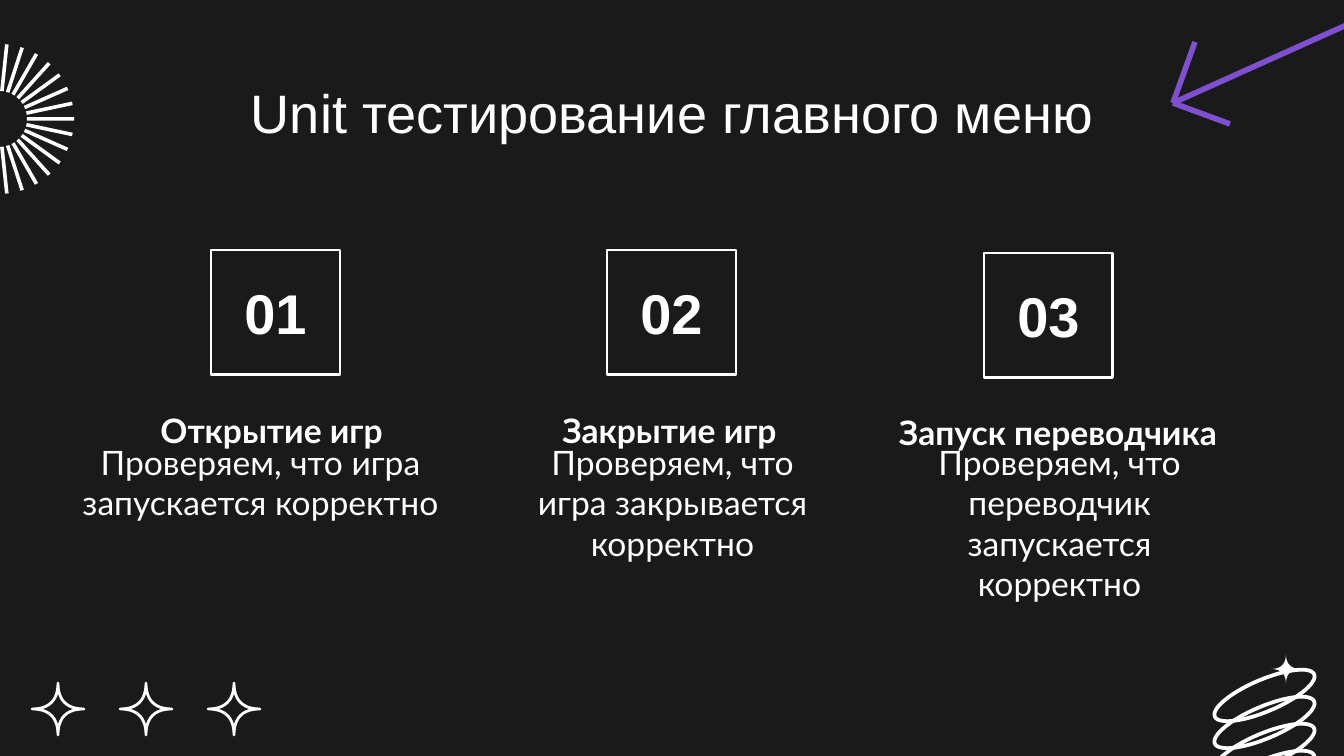
from math import cos, pi, radians, sin

from lxml import etree
from pptx import Presentation
from pptx import util as u
from pptx.dml.color import RGBColor
from pptx.enum import shapes, text
from pptx.oxml.ns import qn

THEME = {
    "ground": "1A1A1A", "ink": "FFFFFF", "accent": "7E4FCF",
    "display": "Arial", "copy": "Lato",
    "title": 29, "number": 30, "body": 18,
    "outline": 1.5, "coil": 2, "arrow": 3,
}
PX = 914400 / 134.4
INSET = 13

TITLE = ("Unit тестирование главного меню", (106, 66, 1133, 85))
CHECKS = [
    {"number": ("01", (211, 250, 129, 125)),
     "heading": ("Открытие игр", (43, 353, 437, 110)),
     "body": ("Проверяем, что игра запускается корректно", (54, 429, 413, 69))},
    {"number": ("02", (607, 250, 129, 125)),
     "heading": ("Закрытие игр", (453, 353, 413, 110)),
     "body": ("Проверяем, что игра закрывается корректно", (503, 429, 339, 146))},
    {"number": ("03", (984, 253, 129, 125)),
     "heading": ("Запуск переводчика", (821, 355, 454, 110)),
     "body": ("Проверяем, что переводчик запускается корректно", (890, 429, 339, 91))},
]
ARROW_TIP = (1173, 103)
ARROW_ENDS = [(1351, 23), (1230, 124), (1195, 42)]
STARS = {"first": (58, 709), "gap": 88, "count": 3, "radius": 26}
SUNBURST = {"center": (-1, 119), "inner": 28, "outer": 75, "half": 1.8, "rays": 30}
COIL = {"center": (1264.5, 695.5), "a": 54, "b": 16, "tilt": -23, "gap": 27, "rings": 4}
SPARKLE = {"center": (1286, 669), "radius": 15}


def emu(px):
    return u.Emu(round(px * PX))


def color(name):
    return RGBColor.from_string(THEME[name])


def star(cx, cy, radius, steps=64):
    angles = [2 * pi * i / steps for i in range(steps)]
    return [(cx + radius * cos(t) * abs(cos(t)) ** 3,
             cy + radius * sin(t) * abs(sin(t)) ** 3) for t in angles]


def ray(angle):
    cx, cy = SUNBURST["center"]
    near, far, half = SUNBURST["inner"], SUNBURST["outer"], SUNBURST["half"]
    corners = [(near, -half), (far, -half), (far, half), (near, half)]
    return [(cx + r * cos(angle) - w * sin(angle),
             cy + r * sin(angle) + w * cos(angle)) for r, w in corners]


def ring(index, steps=60):
    cx, cy = COIL["center"]
    cy += index * COIL["gap"]
    tilt = radians(COIL["tilt"])
    points = []
    for i in range(steps):
        x, y = COIL["a"] * cos(2 * pi * i / steps), COIL["b"] * sin(2 * pi * i / steps)
        points.append((cx + x * cos(tilt) - y * sin(tilt),
                       cy + x * sin(tilt) + y * cos(tilt)))
    return points


def paint(shape, fill=None, line=None, width=None):
    shape.shadow.inherit = False
    if fill:
        shape.fill.solid()
        shape.fill.fore_color.rgb = color(fill)
    else:
        shape.fill.background()
    if line:
        shape.line.color.rgb = color(line)
        shape.line.width = u.Pt(THEME[width])
    else:
        shape.line.fill.background()


def add_outline(slide, contours, **style):
    contours = [[(emu(x), emu(y)) for x, y in contour] for contour in contours]
    builder = slide.shapes.build_freeform(*contours[0][0], scale=1.0)
    for index, contour in enumerate(contours):
        if index:
            builder.move_to(*contour[0])
        builder.add_line_segments(contour[1:], close=True)
    paint(builder.convert_to_shape(), **style)


def write(shape, words, size, face, bold=False, anchor="TOP", after=0, indent=None):
    frame = shape.text_frame
    settings = {"word_wrap": True, "vertical_anchor": getattr(text.MSO_ANCHOR, anchor)}
    settings.update({f"margin_{side}": emu(INSET)
                     for side in ("left", "top", "right", "bottom")})
    for key, value in settings.items():
        setattr(frame, key, value)
    line = frame.paragraphs[0]
    line.alignment = text.PP_ALIGN.CENTER
    line.space_after = u.Pt(after)
    if indent:
        for key, value in zip(("marL", "indent"), indent):
            line._p.get_or_add_pPr().set(key, str(emu(value)))
    run = line.add_run()
    run.text = words
    for key, value in {"size": u.Pt(THEME[size]), "name": THEME[face], "bold": bold}.items():
        setattr(run.font, key, value)
    run.font.color.rgb = color("ink")


def add_text(slide, part, **style):
    words, box = part
    write(slide.shapes.add_textbox(*map(emu, box)), words, **style)


def add_number(slide, part):
    words, box = part
    square = slide.shapes.add_shape(shapes.MSO_SHAPE.RECTANGLE, *map(emu, box))
    paint(square, line="ink", width="outline")
    write(square, words, "number", "display", bold=True, anchor="MIDDLE")


def add_stroke(slide, start, end):
    stroke = slide.shapes.add_connector(
        shapes.MSO_CONNECTOR.STRAIGHT, *map(emu, start + end))
    stroke.line.color.rgb = color("accent")
    stroke.line.width = u.Pt(THEME["arrow"])
    etree.SubElement(stroke._element.spPr, qn("a:effectLst"))


def main():
    deck = Presentation()
    deck.slide_width, deck.slide_height = emu(1344), emu(756)
    slide = deck.slides.add_slide(deck.slide_layouts[6])
    slide.background.fill.solid()
    slide.background.fill.fore_color.rgb = color("ground")

    x, y = STARS["first"]
    add_outline(slide, [star(x + i * STARS["gap"], y, STARS["radius"])
                        for i in range(STARS["count"])], line="ink", width="outline")
    add_outline(slide, [ring(i) for i in range(COIL["rings"])], line="ink", width="coil")
    add_outline(slide, [star(*SPARKLE["center"], SPARKLE["radius"])], fill="ink")
    add_outline(slide, [ray(2 * pi * i / SUNBURST["rays"])
                        for i in range(SUNBURST["rays"])], fill="ink")

    add_text(slide, TITLE, size="title", face="display")
    for check in CHECKS:
        add_text(slide, check["body"], size="body", face="copy", after=8)
        add_number(slide, check["number"])
        add_text(slide, check["heading"], size="body", face="copy", bold=True,
                 anchor="BOTTOM", after=8, indent=(67, -47))
    for end in ARROW_ENDS:
        add_stroke(slide, ARROW_TIP, end)

    deck.save("out.pptx")


if __name__ == "__main__":
    main()
